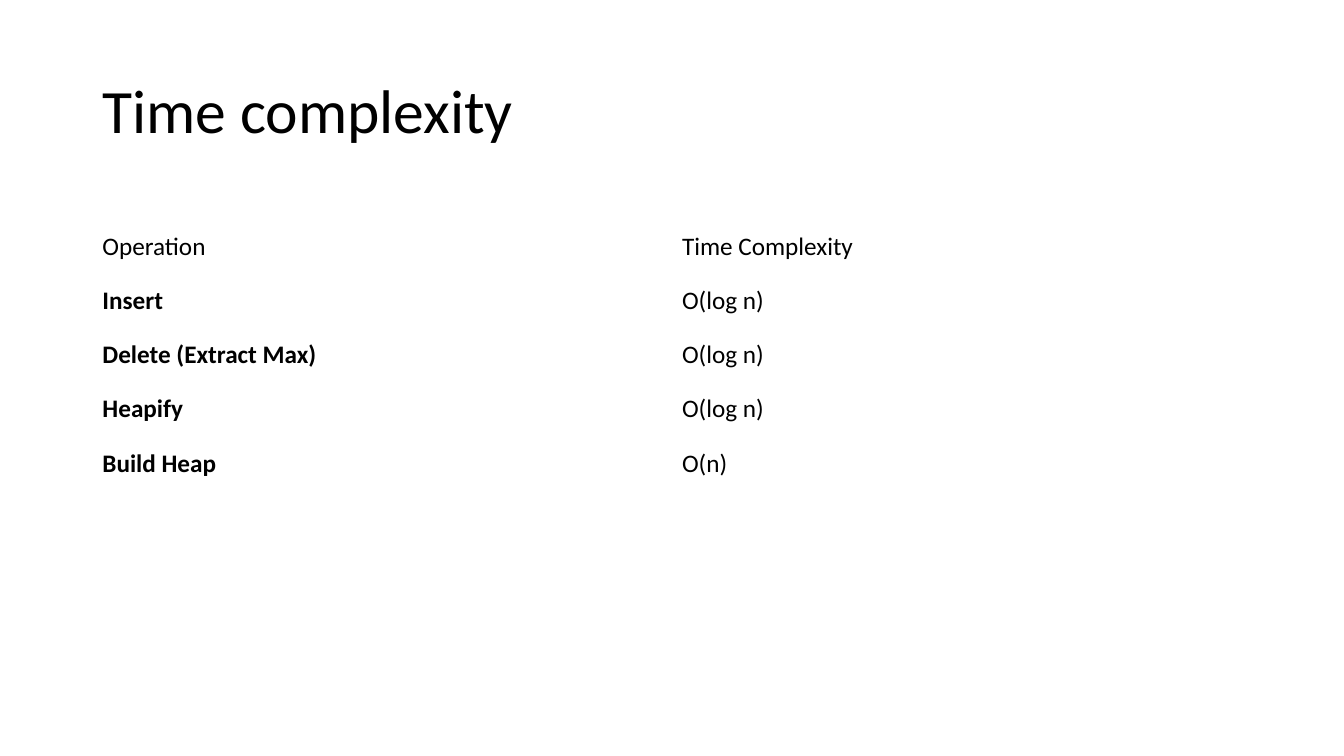
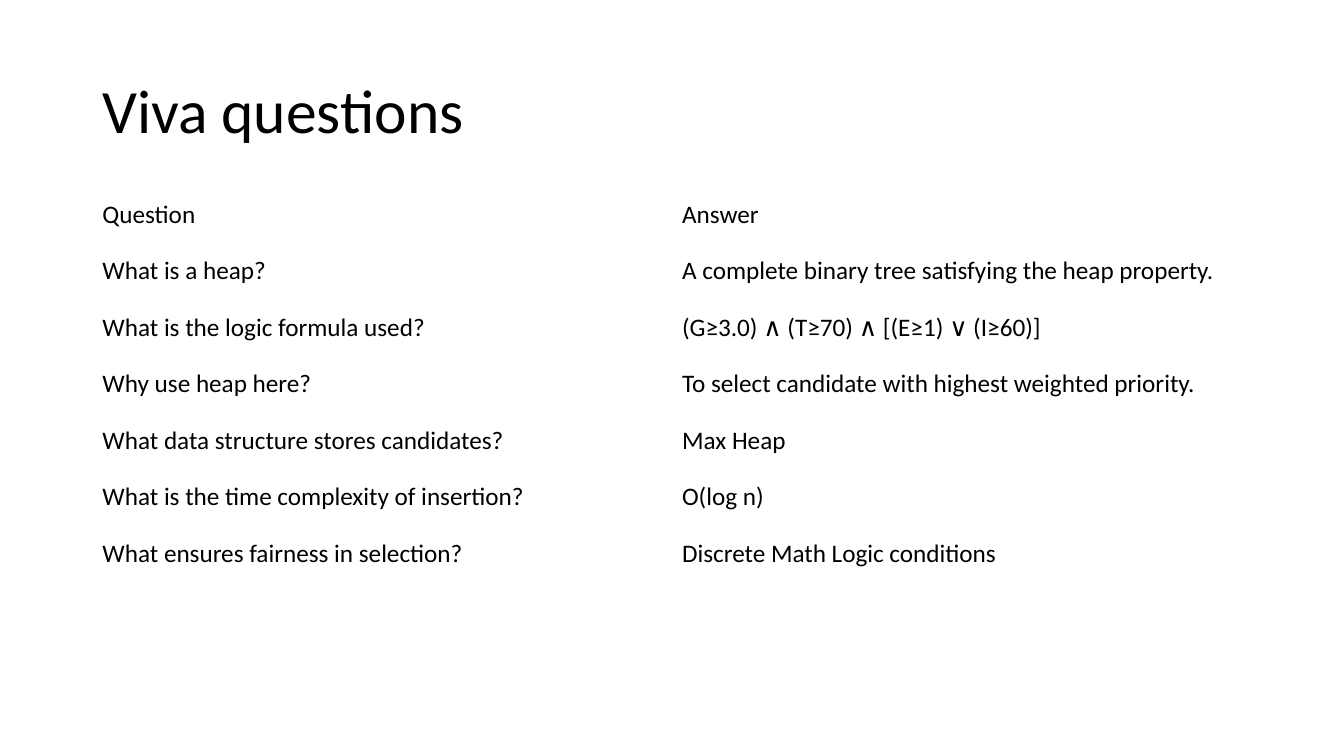
"""Build two heap slides, each with a title and a plain two-column table."""
from pptx import Presentation
from pptx.dml.color import RGBColor
from pptx.enum.text import MSO_ANCHOR
from pptx.util import Pt

MIDDLE = MSO_ANCHOR.MIDDLE
FONT = "Calibri"
INK = "000000"
LEFT, WIDTH = 66, 828

SLIDES = [
    {
        "title": "Time complexity",
        "top": 156.75,
        "step": 38.74,
        "bold": True,
        "rows": [
            ("Operation", "Time Complexity"),
            ("Insert", "O(log n)"),
            ("Delete (Extract Max)", "O(log n)"),
            ("Heapify", "O(log n)"),
            ("Build Heap", "O(n)"),
        ],
    },
    {
        "title": "Viva questions",
        "top": 133,
        "step": 40.4,
        "bold": False,
        "rows": [
            ("Question", "Answer"),
            ("What is a heap?", "A complete binary tree satisfying the heap property."),
            ("What is the logic formula used?", "(G≥3.0) ∧ (T≥70) ∧ [(E≥1) ∨ (I≥60)]"),
            ("Why use heap here?", "To select candidate with highest weighted priority."),
            ("What data structure stores candidates?", "Max Heap"),
            ("What is the time complexity of insertion?", "O(log n)"),
            ("What ensures fairness in selection?", "Discrete Math Logic conditions"),
        ],
    },
]


def color(code):
    return RGBColor.from_string(code)


def write(frame, text, size, bold=False):
    frame.text = text
    font = frame.paragraphs[0].runs[0].font
    font.name = FONT
    font.size = Pt(size)
    font.bold = bold
    font.color.rgb = color(INK)


deck = Presentation()
deck.slide_width = Pt(960)
deck.slide_height = Pt(540)

for page in SLIDES:
    slide = deck.slides.add_slide(deck.slide_layouts[6])

    title = slide.shapes.add_textbox(Pt(LEFT), Pt(28.75), Pt(WIDTH), Pt(104.4)).text_frame
    title.word_wrap = True
    title.vertical_anchor = MIDDLE
    write(title, page["title"], 44)
    title.paragraphs[0].line_spacing = 0.9

    rows = page["rows"]
    high = page["step"] * len(rows)
    table = slide.shapes.add_table(
        len(rows), 2, Pt(LEFT), Pt(page["top"]), Pt(WIDTH), Pt(high)
    ).table
    table.first_row = False
    table.horz_banding = False
    for r, row in enumerate(rows):
        for c, text in enumerate(row):
            cell = table.cell(r, c)
            cell.fill.background()
            cell.vertical_anchor = MIDDLE
            write(cell.text_frame, text, 18, page["bold"] and r > 0 and c == 0)

deck.save("out.pptx")
